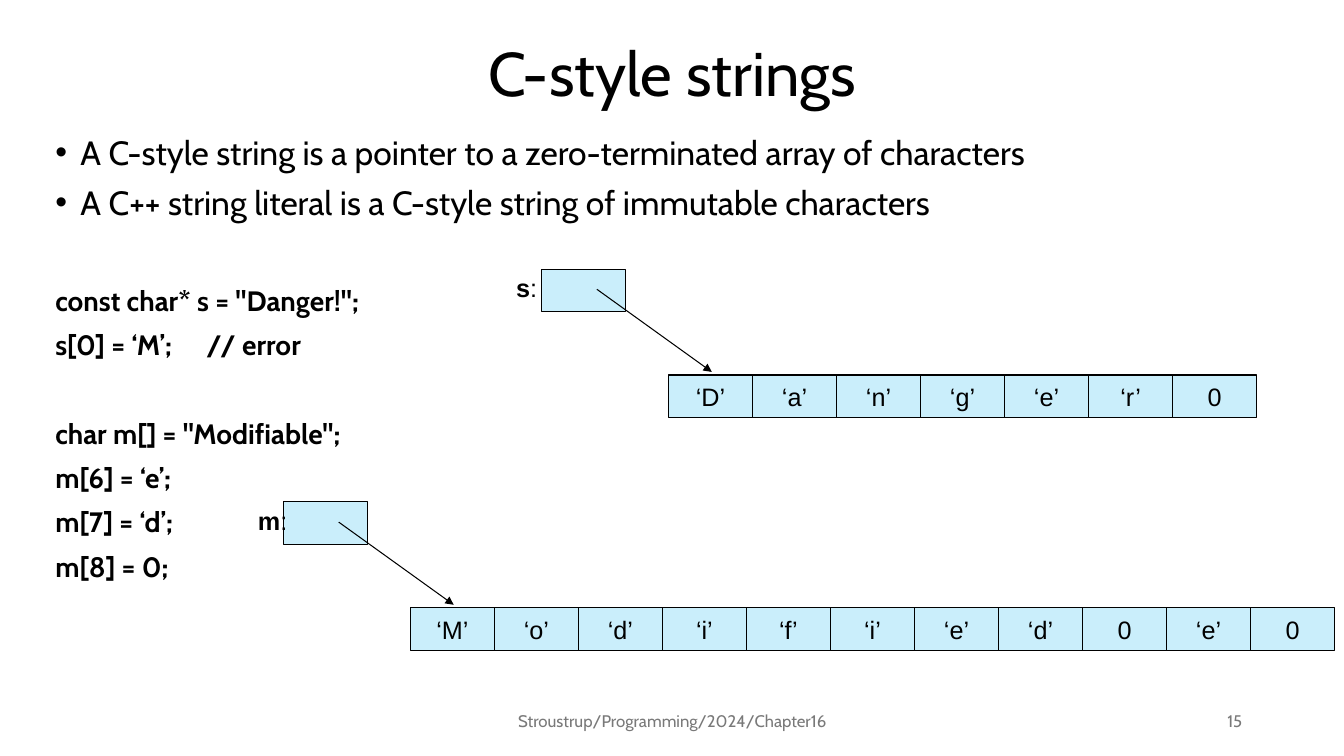
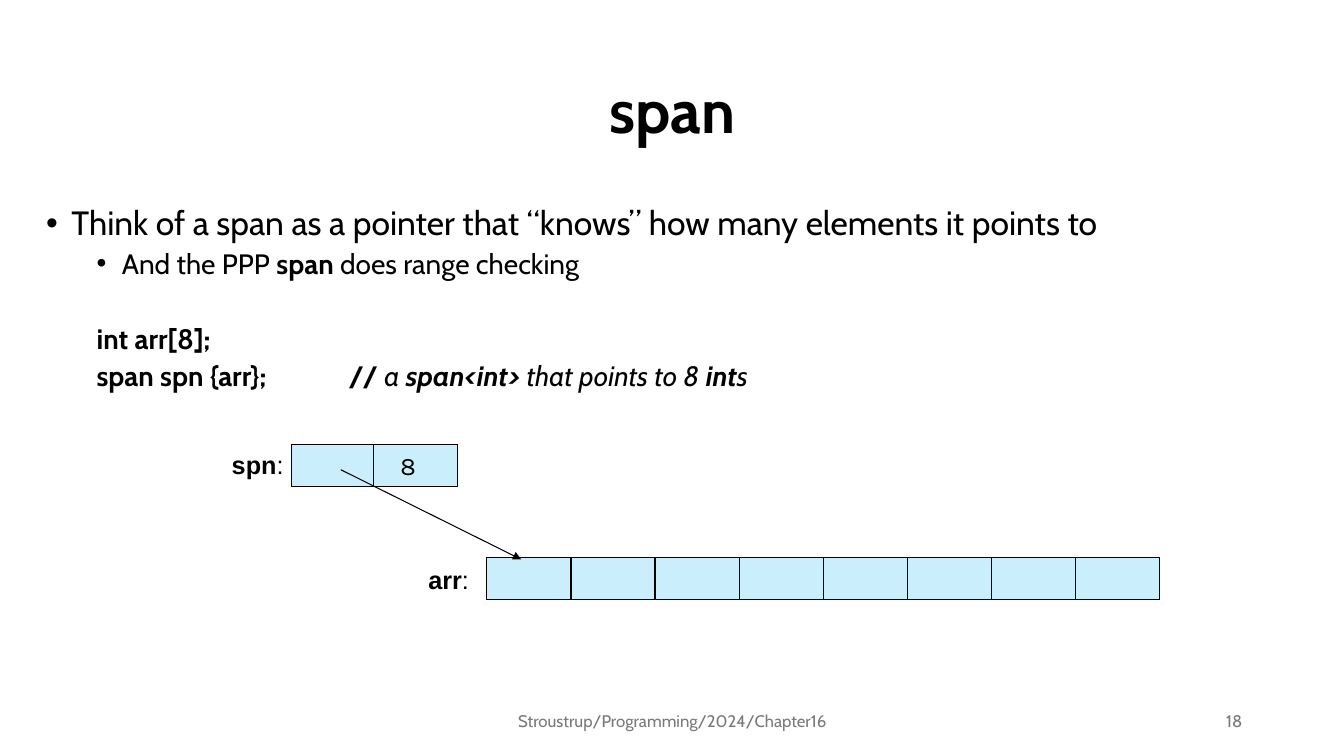
from dataclasses import dataclass

from pptx import Presentation
from pptx.dml.color import RGBColor
from pptx.enum.shapes import MSO_CONNECTOR as Connector, MSO_SHAPE as Shape
from pptx.enum.text import MSO_ANCHOR as Anchor, PP_ALIGN as Align
from pptx.oxml.ns import qn
from pptx.util import Inches, Pt
from lxml.etree import SubElement


@dataclass(frozen=True)
class Theme:
    ink: RGBColor = RGBColor(0x00, 0x00, 0x00)
    muted: RGBColor = RGBColor(0x79, 0x79, 0x79)
    cell_fill: RGBColor = RGBColor(0xCA, 0xEE, 0xFB)
    text_font: str = "Cabin"
    diagram_font: str = "Arial"
    count_font: str = "Karla"
    title_size: int = 44
    body_size: int = 24
    code_size: int = 20
    diagram_size: int = 18
    footer_size: int = 12
    line_width: float = 0.75
    line_spacing: float = 0.9


THEME = Theme()
CELL_WIDTH, CELL_HEIGHT = 5 / 6, 0.42


@dataclass(frozen=True)
class Line:
    """A body paragraph: spans of (text, style), where style holds b and/or i."""
    spans: tuple
    size: int = THEME.code_size
    before: int = 10
    indent: float = 0
    bullet: bool = False


def add_span(para, text, size, style="", font=THEME.text_font, color=THEME.ink):
    span = para.add_run()
    span.text = text
    span.font.name = font
    span.font.size = Pt(size)
    span.font.bold = "b" in style
    span.font.italic = "i" in style
    span.font.color.rgb = color


def add_box(page, left, top, width, height, anchor=Anchor.TOP):
    box = page.shapes.add_textbox(Inches(left), Inches(top), Inches(width), Inches(height))
    box.text_frame.word_wrap = True
    box.text_frame.vertical_anchor = anchor
    return box.text_frame


def add_title(page, text, height, style=""):
    para = add_box(page, 0.92, 0.4, 11.5, height, Anchor.MIDDLE).paragraphs[0]
    para.alignment = Align.CENTER
    para.line_spacing = THEME.line_spacing
    add_span(para, text, THEME.title_size, style)


def add_footer(page, number):
    parts = (
        (4.42, 4.5, Align.CENTER, "Stroustrup/Programming/2024/Chapter16"),
        (9.42, 3, Align.RIGHT, str(number)),
    )
    for left, width, align, text in parts:
        para = add_box(page, left, 6.95, width, 0.4, Anchor.MIDDLE).paragraphs[0]
        para.alignment = align
        add_span(para, text, THEME.footer_size, color=THEME.muted)


def set_indent(para, indent, bullet):
    props = para._p.get_or_add_pPr()
    props.set("marL", str(Inches(indent)))
    props.set("indent", str(Inches(-0.25 if bullet else 0)))
    if bullet:
        SubElement(props, qn("a:buFont")).set("typeface", THEME.diagram_font)
        SubElement(props, qn("a:buChar")).set("char", "•")
    else:
        SubElement(props, qn("a:buNone"))


def add_body(page, left, top, width, height, lines):
    frame = add_box(page, left, top, width, height)
    for index, line in enumerate(lines):
        para = frame.add_paragraph() if index else frame.paragraphs[0]
        para.line_spacing = THEME.line_spacing
        para.space_before = Pt(line.before)
        set_indent(para, line.indent, line.bullet)
        for text, style in line.spans:
            add_span(para, text, line.size, style)


def add_cell(page, left, top, text="", font=THEME.diagram_font, inset=None):
    """Draw one memory cell; an inset sets its text from the left, not centred."""
    cell = page.shapes.add_shape(
        Shape.RECTANGLE, Inches(left), Inches(top), Inches(CELL_WIDTH), Inches(CELL_HEIGHT))
    cell.shadow.inherit = False
    cell.fill.solid()
    cell.fill.fore_color.rgb = THEME.cell_fill
    cell.line.color.rgb = THEME.ink
    cell.line.width = Pt(THEME.line_width)
    if not text:
        return
    frame = cell.text_frame
    frame.word_wrap = False
    frame.vertical_anchor = Anchor.MIDDLE
    para = frame.paragraphs[0]
    para.alignment = Align.CENTER
    if inset is not None:
        frame.word_wrap = True
        frame.margin_left = Inches(inset)
        para.alignment = Align.LEFT
    add_span(para, text, THEME.diagram_size, font=font)


def add_array(page, left, top, values):
    for index, value in enumerate(values):
        add_cell(page, left + index * CELL_WIDTH, top, value)


def add_label(page, left, top, name):
    frame = add_box(page, left, top, 0.95, 0.4)
    frame.word_wrap = False
    para = frame.paragraphs[0]
    for text, style in ((name, "b"), (":", "")):
        add_span(para, text, THEME.diagram_size, style, THEME.diagram_font)


def add_arrow(page, start, end):
    arrow = page.shapes.add_connector(
        Connector.STRAIGHT, *(Inches(value) for value in (*start, *end)))
    arrow.line.color.rgb = THEME.ink
    arrow.line.width = Pt(THEME.line_width)
    SubElement(arrow.line._get_or_add_ln(), qn("a:tailEnd")).set("type", "triangle")
    SubElement(arrow._element.spPr, qn("a:effectLst"))


def add_string_diagram(page, left, top, name, values):
    """Draw a named pointer cell and, below right, the characters it points to."""
    add_cell(page, left, top)
    add_array(page, left + 1.26, top + 1.05, values)
    add_label(page, left - 0.35, top - 0.02, name)
    add_arrow(page, (left + 0.55, top + 0.2), (left + 1.69, top + 1.02))


def add_span_diagram(page, left, top, count):
    """Draw a span as pointer and count, and the array it refers to."""
    add_cell(page, left, top)
    add_cell(page, left + 0.81, top, str(count), THEME.count_font, inset=0.27)
    add_array(page, left + 1.94, top + 1.12, [""] * count)
    add_label(page, left - 0.69, top, "spn")
    add_label(page, left + 1.26, top + 1.14, "arr")
    add_arrow(page, (left + 0.49, top + 0.25), (left + 2.28, top + 1.14))


def add_page(deck):
    return deck.slides.add_slide(deck.slide_layouts[6])


def add_strings_page(deck):
    page = add_page(deck)
    add_title(page, "C-style strings", 0.71)
    bullets = (
        "A C-style string is a pointer to a zero-terminated array of characters",
        "A C++ string literal is a C-style string of immutable characters",
    )
    code = (
        ('const char* s = "Danger!";', 46),
        ("s[0] = ‘M’;\t// error", 10),
        ('char m[] = "Modifiable";', 42),
        ("m[6] = ‘e’;", 10),
        ("m[7] = ‘d’;", 10),
        ("m[8] = 0;", 10),
    )
    lines = [Line(((text, ""),), THEME.body_size, indent=0.25, bullet=True) for text in bullets]
    lines += [Line(((text, "b"),), before=before) for text, before in code]
    add_body(page, 0.45, 1.3, 11.97, 2.59, lines)
    for left, top, name, letters, tail in (
        (5.37, 2.67, "s", "Danger", "0"),
        (2.81, 4.98, "m", "Modified", "0e0"),
    ):
        values = [f"‘{letter}’" for letter in letters]
        values += [char if char == "0" else f"‘{char}’" for char in tail]
        add_string_diagram(page, left, top, name, values)
    add_footer(page, 15)


def add_span_page(deck):
    page = add_page(deck)
    add_title(page, "span", 1.45, "b")
    add_body(page, 0.36, 2, 12.06, 1.75, (
        Line((("Think of a span as a pointer that “knows” how many elements it points to", ""),),
             THEME.body_size, indent=0.25, bullet=True),
        Line((("And the PPP ", ""), ("span", "b"), (" does range checking", "")),
             before=5, indent=0.75, bullet=True),
        Line((("int arr[8];", "b"),), before=32, indent=0.5),
        Line((("span spn {arr};\t\t// ", "b"), ("a ", "i"), ("span<int> ", "bi"),
              ("that points to 8 ", "i"), ("int", "bi"), ("s", "i")),
             before=5, indent=0.5),
    ))
    add_span_diagram(page, 2.89, 4.41, 8)
    add_footer(page, 18)


def main():
    deck = Presentation()
    deck.slide_width, deck.slide_height = Inches(13.33), Inches(7.5)
    add_strings_page(deck)
    add_span_page(deck)
    deck.save("out.pptx")


if __name__ == "__main__":
    main()
